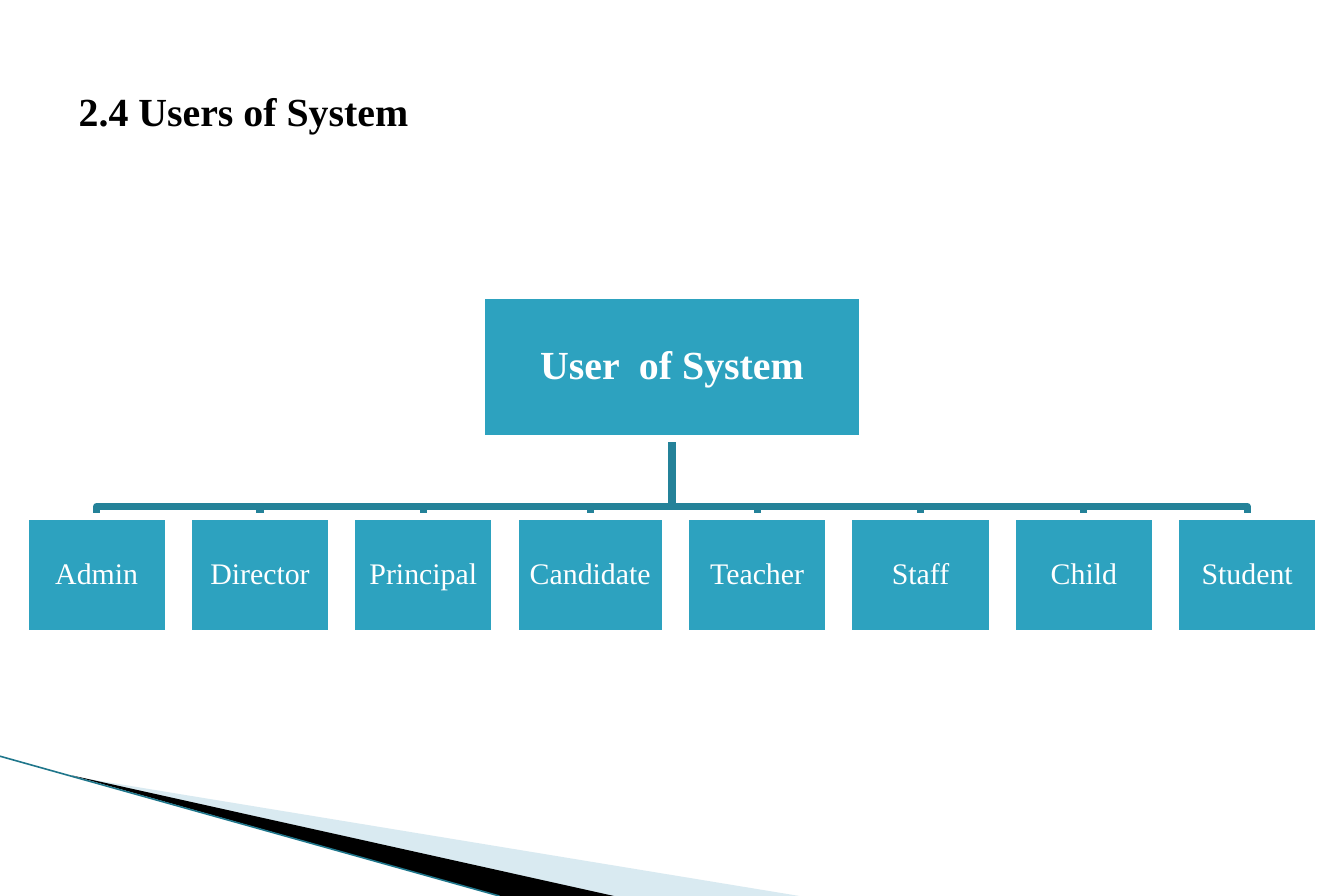
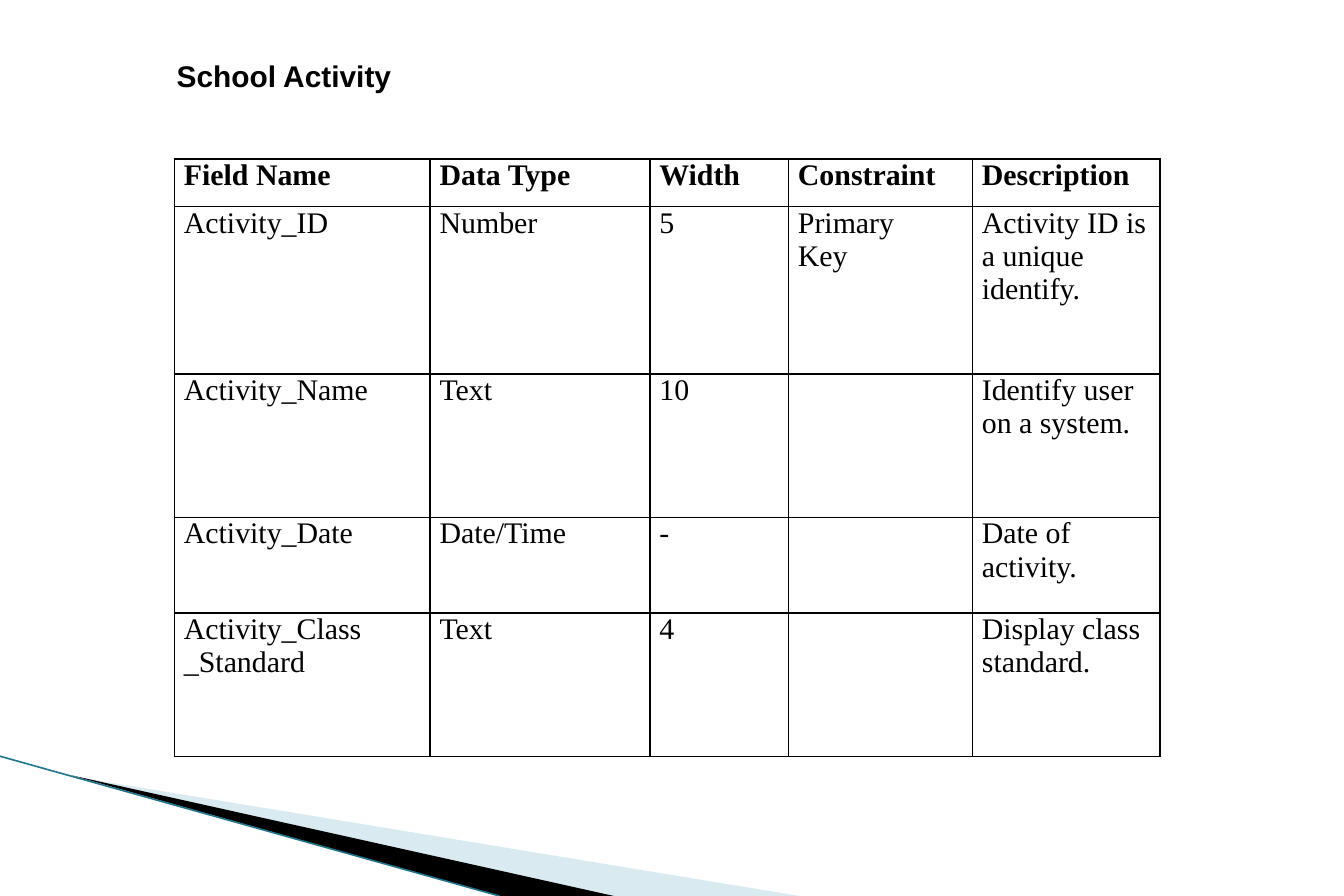
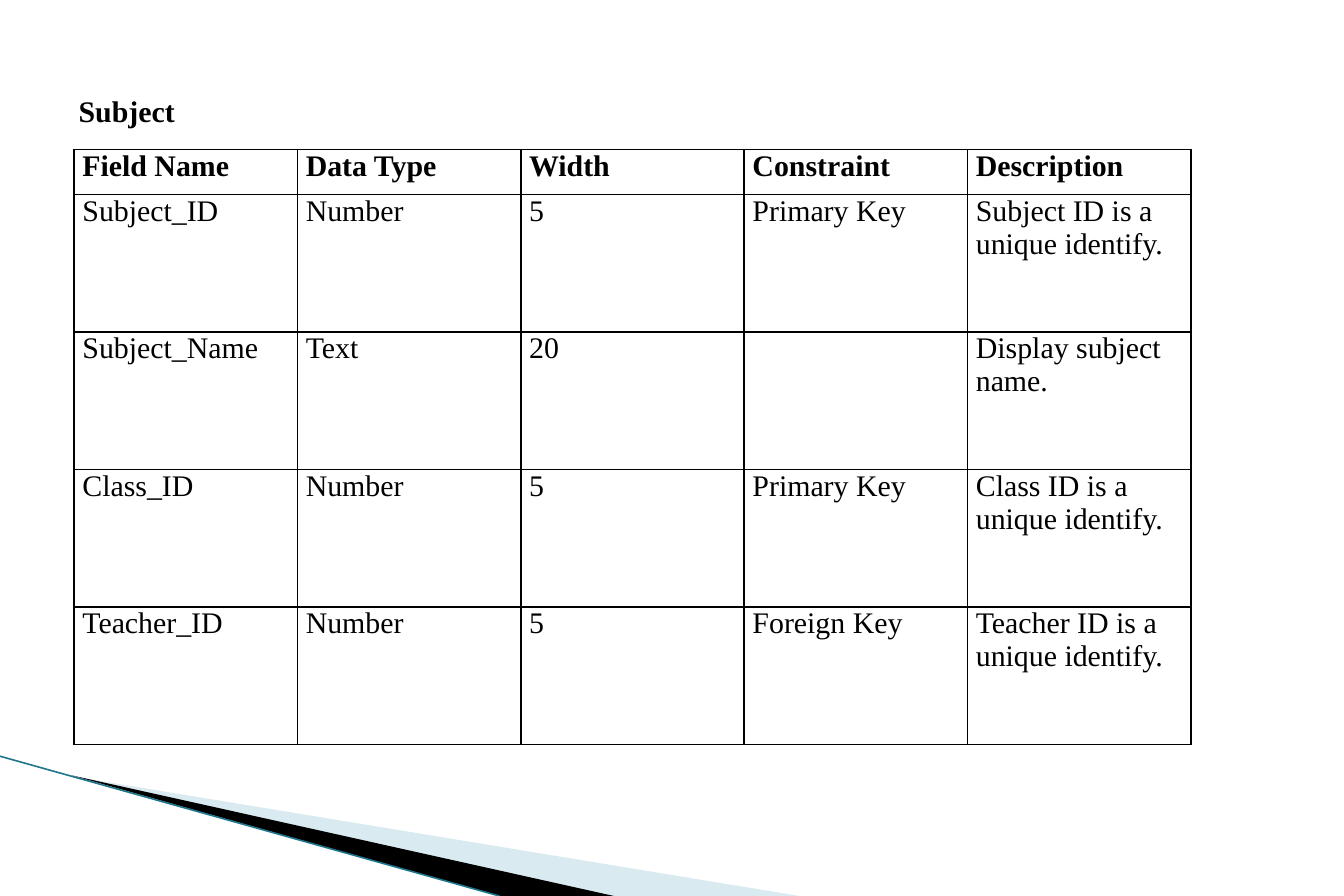
import pptx
import pptx.dml.color
import pptx.enum.shapes
import pptx.enum.text
import pptx.oxml
import pptx.oxml.ns
import pptx.util
from pptx.util import Inches

SERIF, SANS = "Times New Roman", "Arial"
BLACK, WHITE = "000000", "FFFFFF"
BOX_FILL, BRANCH = "2DA2BF", "248299"
BAND_TINT, BAND_EDGE = "A0CBDC", "1F768B"

BAND_SHAPES = [  # points, colour, opacity in percent
    ([(0.61, 6.5), (6.69, 7.5), (5.13, 7.5)], BAND_TINT, 40),
    ([(0.6, 6.49), (5.14, 7.5), (4.18, 7.5)], BLACK, 100),
]
BAND_LINE = [(0, 6.33), (4.18, 7.5)]

TITLE_AREA = (0.56, 0.3, 10.12, 1.25)
ROOT = "User  of System"
ROOT_AREA = (4.03, 2.47, 3.19, 1.2)
USERS = [("Admin", 1.2), ("Director", 1.2), ("Principal", 1.2), ("Candidate", 1.26),
         ("Teacher", 1.2), ("Staff", 1.2), ("Child", 1.2), ("Student", 1.2)]
USERS_LEFT, USERS_RIGHT = 0.21, 11.04
USERS_TOP, USERS_HEIGHT = 4.32, 0.98
BRANCH_Y = 4.24

HEADER = ["Field Name", "Data Type", "Width", "Constraint", "Description"]
TABLE_SLIDES = [
    {
        "title": "School Activity", "font": SANS, "title_area": (1.38, 0.43, 2.09, 0.4),
        "at": (1.46, 1.33), "inset": 0.08,
        "cols": [2.14, 1.84, 1.16, 1.54, 1.57], "rows": [0.4, 1.4, 1.2, 0.8, 1.2],
        "fields": [
            ["Activity_ID", "Number", "5", "Primary\nKey", "Activity ID is a unique identify."],
            ["Activity_Name", "Text", "10", "", "Identify user on a system."],
            ["Activity_Date", "Date/Time", "-", "", "Date of activity."],
            ["Activity_Class\n_Standard", "Text", "4", "", "Display class standard."],
        ],
    },
    {
        "title": "Subject", "font": SERIF, "title_area": TITLE_AREA,
        "at": (0.62, 1.25), "inset": 0.07,
        "cols": [1.87] * 5, "rows": [0.38] + [1.15] * 4,
        "fields": [
            ["Subject_ID", "Number", "5", "Primary Key", "Subject ID is a unique identify."],
            ["Subject_Name", "Text", "20", "", "Display subject name."],
            ["Class_ID", "Number", "5", "Primary Key", "Class ID is a unique identify."],
            ["Teacher_ID", "Number", "5", "Foreign Key", "Teacher ID is a unique identify."],
        ],
    },
]


def rgb(hex_code):
    return pptx.dml.color.RGBColor.from_string(hex_code)


def inches(values):
    return [Inches(v) for v in values]


def element(xml):
    """Parse one DrawingML element; its tag carries a %s for the namespace."""
    return pptx.oxml.parse_xml(xml % pptx.oxml.ns.nsdecls("a"))


def style_text(tf, size, color, font=SERIF, bold=False):
    for p in tf.paragraphs:
        p.font.name, p.font.size, p.font.bold = font, pptx.util.Pt(size), bold
        p.font.color.rgb = rgb(color)


def set_line(line, color, width):
    line.color.rgb = rgb(color)
    line.width = pptx.util.Pt(width)


def add_outline(s, points, close):
    points = [inches(point) for point in points]
    builder = s.shapes.build_freeform(*points[0])
    builder.add_line_segments(points[1:], close=close)
    sp = builder.convert_to_shape()
    sp.shadow.inherit = False
    return sp


def add_band(s):
    for points, color, opacity in BAND_SHAPES:
        sp = add_outline(s, points, True)
        sp.line.fill.background()
        sp.fill.solid()
        sp.fill.fore_color.rgb = rgb(color)
        if opacity < 100:
            clr = sp.fill._xPr.find(".//" + pptx.oxml.ns.qn("a:srgbClr"))
            clr.append(element(f'<a:alpha %s val="{opacity * 1000}"/>'))
    start, end = BAND_LINE
    edge = s.shapes.add_connector(pptx.enum.shapes.MSO_CONNECTOR.STRAIGHT,
                                  *inches(start + end))
    set_line(edge.line, BAND_EDGE, 0.95)
    edge._element.spPr.append(element("<a:effectLst %s/>"))


def new_slide(prs, title, size, font, area):
    s = prs.slides.add_slide(prs.slide_layouts[6])
    add_band(s)
    tf = s.shapes.add_textbox(*inches(area)).text_frame
    tf.word_wrap = True
    tf.vertical_anchor = pptx.enum.text.MSO_ANCHOR.MIDDLE
    tf.text = title
    style_text(tf, size, BLACK, font, bold=True)
    return s


def add_box(s, text, area, size, bold=False):
    sp = s.shapes.add_shape(pptx.enum.shapes.MSO_SHAPE.RECTANGLE, *inches(area))
    sp.shadow.inherit = False
    sp.fill.solid()
    sp.fill.fore_color.rgb = rgb(BOX_FILL)
    set_line(sp.line, WHITE, 4.33)
    tf = sp.text_frame
    tf.margin_left = tf.margin_right = tf.margin_top = tf.margin_bottom = Inches(0.01)
    tf.vertical_anchor = pptx.enum.text.MSO_ANCHOR.MIDDLE
    tf.text = text
    p = tf.paragraphs[0]
    p.alignment = pptx.enum.text.PP_ALIGN.CENTER
    p.line_spacing = 0.9
    style_text(tf, size, WHITE, bold=bold)


def add_user_tree(s):
    left, top, width, height = ROOT_AREA
    root_x, root_bottom = left + width / 2, top + height
    free = USERS_RIGHT - USERS_LEFT - sum(w for _, w in USERS)
    gap = free / (len(USERS) - 1)
    areas, x = [], USERS_LEFT
    for _, w in USERS:
        areas.append((x, USERS_TOP, w, USERS_HEIGHT))
        x += w + gap
    for x, y, w, _ in areas:
        mid = x + w / 2
        branch = add_outline(s, [(root_x, root_bottom), (root_x, BRANCH_Y),
                                 (mid, BRANCH_Y), (mid, y)], False)
        branch.fill.background()
        set_line(branch.line, BRANCH, 4.33)
    add_box(s, ROOT, ROOT_AREA, 24, bold=True)
    for (name, _), area in zip(USERS, areas):
        add_box(s, name, area, 18)


def add_borders(cell):
    tc_pr = cell._tc.get_or_add_tcPr()
    for i, side in enumerate("LRTB"):
        tc_pr.insert(i, element(
            f'<a:ln{side} %s w="12700"><a:solidFill><a:srgbClr val="{BLACK}"/>'
            f'</a:solidFill></a:ln{side}>'))


def add_field_table(s, spec_sheet):
    cols, rows = spec_sheet["cols"], spec_sheet["rows"]
    frame = s.shapes.add_table(len(rows), len(cols), *inches(spec_sheet["at"]),
                               Inches(sum(cols)), Inches(sum(rows)))
    table = frame.table
    table.first_row = table.horz_banding = False
    for column, width in zip(table.columns, cols):
        column.width = Inches(width)
    for row, height in zip(table.rows, rows):
        row.height = Inches(height)
    for r, texts in enumerate([HEADER] + spec_sheet["fields"]):
        for c, text in enumerate(texts):
            cell = table.cell(r, c)
            cell.text = text
            cell.margin_left = cell.margin_right = Inches(spec_sheet["inset"])
            cell.margin_top = cell.margin_bottom = 0
            cell.fill.background()
            add_borders(cell)
            style_text(cell.text_frame, 18, BLACK, bold=r == 0)


def main():
    prs = pptx.Presentation()
    prs.slide_width, prs.slide_height = Inches(11.25), Inches(7.5)
    add_user_tree(new_slide(prs, "2.4 Users of System", 24, SERIF, TITLE_AREA))
    for sheet in TABLE_SLIDES:
        s = new_slide(prs, sheet["title"], 18, sheet["font"], sheet["title_area"])
        add_field_table(s, sheet)
    prs.save("out.pptx")


if __name__ == "__main__":
    main()
